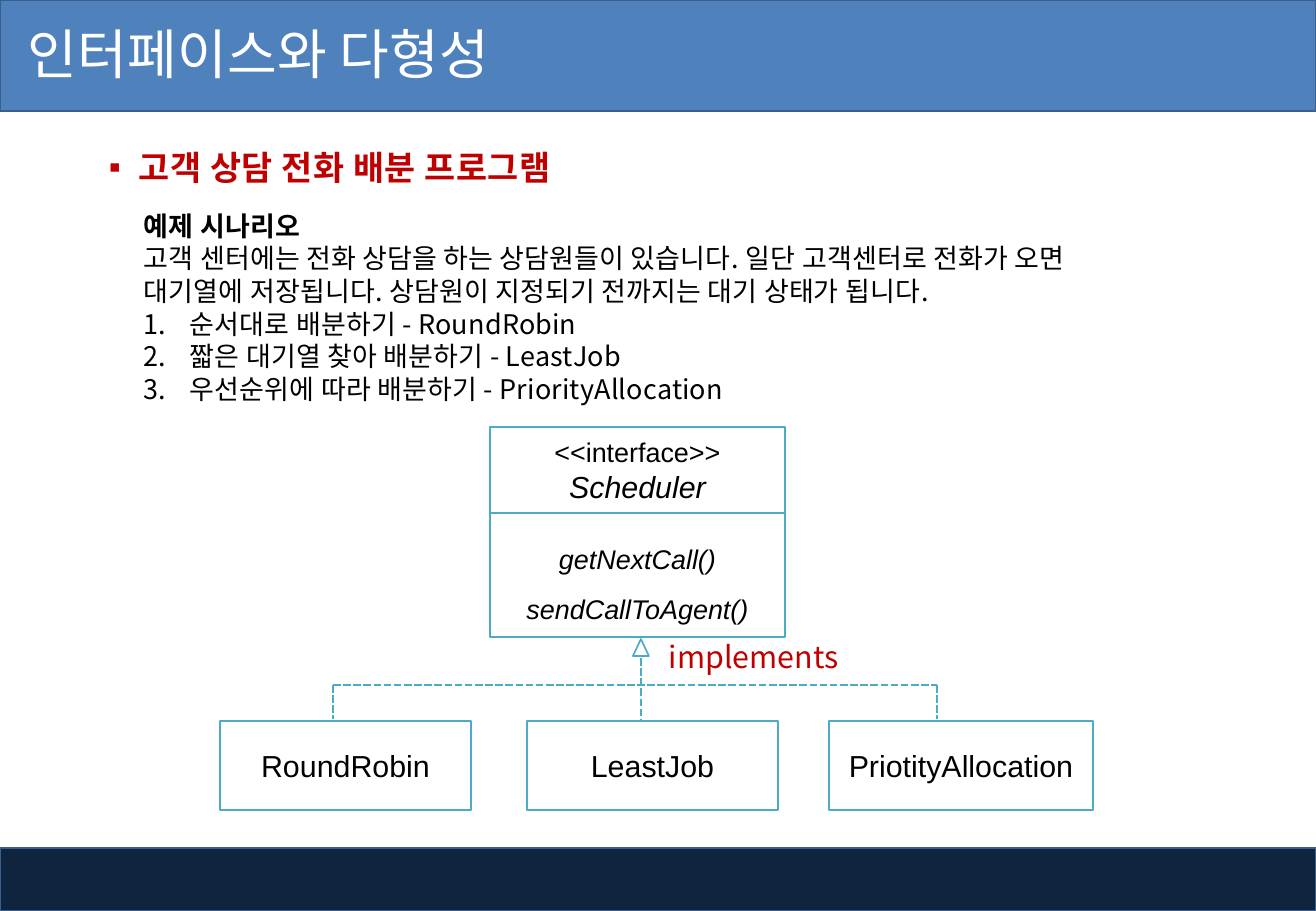
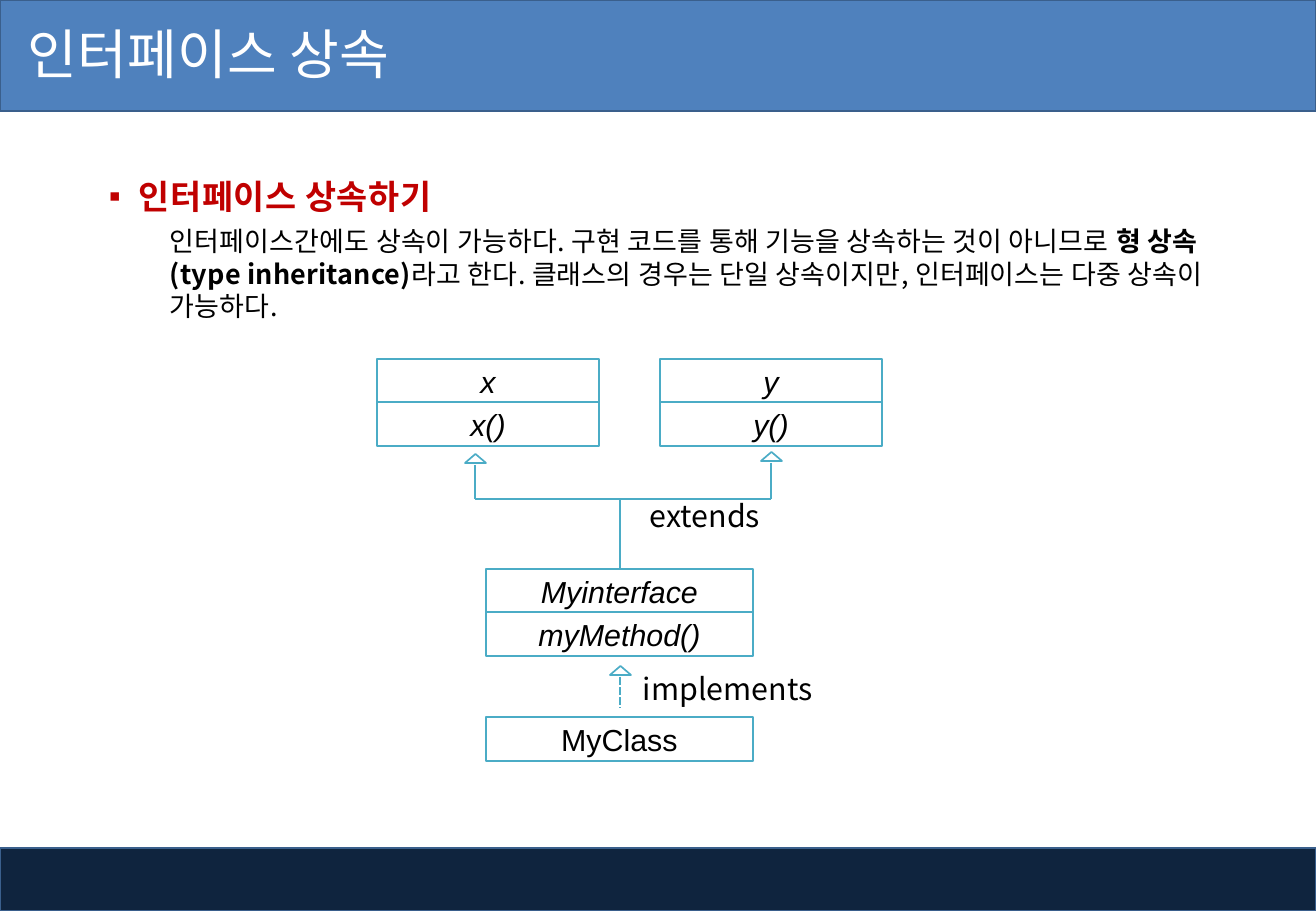
from dataclasses import dataclass

from pptx import Presentation
from pptx.dml.color import RGBColor
from pptx.enum.dml import MSO_LINE
from pptx.enum.shapes import MSO_CONNECTOR, MSO_SHAPE
from pptx.enum.text import MSO_ANCHOR, PP_ALIGN
from pptx.oxml.ns import qn
from pptx.util import Emu, Pt

RECT, TRIANGLE = MSO_SHAPE.RECTANGLE, MSO_SHAPE.ISOSCELES_TRIANGLE
STRAIGHT, DASH = MSO_CONNECTOR.STRAIGHT, MSO_LINE.SQUARE_DOT
TOP, MIDDLE = MSO_ANCHOR.TOP, MSO_ANCHOR.MIDDLE
CENTER = PP_ALIGN.CENTER
SCALE = 7526
WIDTH, HEIGHT = 1316, 911


@dataclass(frozen=True)
class Theme:
    """Colours, fonts and type sizes of the deck."""
    header: str = "4F81BD"
    footer: str = "0F243E"
    edge: str = "3A5F8C"
    uml: str = "4BACC6"
    accent: str = "C00000"
    ink: str = "000000"
    paper: str = "FFFFFF"
    text_font: str = "Noto Sans CJK KR"
    uml_font: str = "Arial"
    title: int = 32
    head: int = 20
    name: int = 18
    body: int = 16
    tracking: int = 15


def px(n):
    """Turn px into EMU."""
    return Emu(n * SCALE)


def put(obj, values):
    """Set attributes from a dict."""
    for key, value in values.items():
        setattr(obj, key, value)


def add(parent, tag, **values):
    """Append an XML element with attributes."""
    parent.append(parent.makeelement(qn(tag), values))


class Deck:
    """The style and the current slide."""

    def __init__(self, prs, theme):
        self.prs, self.t, self.s = prs, theme, None

    def new_slide(self, title):
        """Start a slide with its bands and title."""
        t = self.t
        self.s = self.prs.slides.add_slide(self.prs.slide_layouts[6])
        self.shape(RECT, 0, 848, WIDTH, 63, t.footer, t.edge)
        self.shape(RECT, 0, 0, WIDTH, 111, t.header, t.edge)
        tf = self.text_box(0, 0, 824, 106, MIDDLE)
        tf.margin_left = px(28)
        self.para(tf, [(title, {})], t.title, t.paper, spc=t.tracking,
                  line_spacing=Pt(38.4))

    def shape(self, kind, x, y, w, h, fill, line):
        """Add a filled shape with a thin outline."""
        sp = self.s.shapes.add_shape(kind, px(x), px(y), px(w), px(h))
        sp.shadow.inherit = False
        sp.fill.solid()
        sp.fill.fore_color.rgb = RGBColor.from_string(fill)
        sp.line.color.rgb = RGBColor.from_string(line)
        sp.line.width = Pt(1)
        return sp

    def text_box(self, x, y, w, h, anchor=TOP):
        """Add a wrapping text box."""
        tf = self.s.shapes.add_textbox(px(x), px(y), px(w), px(h)).text_frame
        put(tf, {"word_wrap": True, "vertical_anchor": anchor})
        return tf

    def para(self, tf, runs, size, color, font=None, bullets=(),
             left=0, hang=0, spc=0, **fmt):
        """Append a paragraph made of (text, font values) runs."""
        p = tf.paragraphs[0]
        if p.runs:
            p = tf.add_paragraph()
        pPr = p._p.get_or_add_pPr()
        pPr.set("marL", str(px(left)))
        pPr.set("indent", str(px(-hang)))
        for tag, values in bullets:
            add(pPr, tag, **values)
        put(p, fmt)
        font = font or self.t.text_font
        for text, values in runs:
            r = p.add_run()
            r.text = text
            put(r.font, {"name": font, "size": Pt(size), **values})
            r.font.color.rgb = RGBColor.from_string(color)
            rPr = r._r.get_or_add_rPr()
            rPr.set("spc", str(spc))
            add(rPr, "a:ea", typeface=font)

    def heading(self, tf, text):
        """Append a red square-bulleted heading."""
        t = self.t
        self.para(tf, [(text, {"bold": True})], t.head, t.accent,
                  bullets=(("a:buFont", {"typeface": t.uml_font}),
                           ("a:buChar", {"char": "▪"})),
                  left=30, hang=30, spc=2 * t.tracking, line_spacing=Pt(36.2))

    def body(self, tf, runs, line=19.3, **fmt):
        """Append a body paragraph."""
        self.para(tf, runs, self.t.body, self.t.ink, spc=self.t.tracking,
                  line_spacing=Pt(line), **fmt)

    def label(self, x, y, text, color):
        """Add a relation label."""
        tf = self.text_box(x, y, 197, 49)
        self.para(tf, [(text, {})], self.t.name, color, line_spacing=Pt(21.8))

    def box(self, x, y, w, h, lines, spacing=1.0):
        """Add a UML box with (text, size, italic) lines."""
        t = self.t
        tf = self.shape(RECT, x, y, w, h, t.paper, t.uml).text_frame
        put(tf, {"word_wrap": True, "vertical_anchor": MIDDLE})
        for text, size, italic in lines:
            self.para(tf, [(text, {"italic": italic})], size, t.ink,
                      t.uml_font, alignment=CENTER, line_spacing=spacing)

    def rows(self, x, y, w, names, italic=True):
        """Stack one-line UML boxes."""
        for i, name in enumerate(names):
            self.box(x, y + 43 * i, w, 44, [(name, self.t.name, italic)])

    def line(self, x1, y1, x2, y2, dash=None):
        """Add a relation line."""
        c = self.s.shapes.add_connector(STRAIGHT, px(x1), px(y1), px(x2), px(y2))
        c.line.color.rgb = RGBColor.from_string(self.t.uml)
        put(c.line, {"width": Pt(1.5), "dash_style": dash})
        add(c._element.spPr, "a:effectLst")

    def arrow(self, x, tip, end, w, h, dash=None):
        """Add an upward arrow with a hollow triangle head."""
        self.line(x, tip + h + 2, x, end, dash)
        self.shape(TRIANGLE, x - w // 2, tip, w, h, self.t.paper, self.t.uml)


def polymorphism(d):
    """Build the slide on interfaces and polymorphism."""
    t = d.t
    d.new_slide("인터페이스와 다형성")
    d.heading(d.text_box(97, 120, 522, 69), "고객 상담 전화 배분 프로그램")
    tf = d.text_box(132, 187, 1043, 225)
    d.body(tf, [("예제 시나리오", {"bold": True})], 28.9)
    d.body(tf, [("고객 센터에는 전화 상담을 하는 상담원들이 있습니다. 일단 고객센터로 "
                 "전화가 오면 대기열에 저장됩니다. 상담원이 지정되기 전까지는 대기 "
                 "상태가 됩니다.", {})])
    for item in ("순서대로 배분하기 - RoundRobin",
                 "짧은 대기열 찾아 배분하기 - LeastJob",
                 "우선순위에 따라 배분하기 - PriorityAllocation"):
        d.body(tf, [(item, {})], left=46, hang=46,
               bullets=(("a:buAutoNum", {"type": "arabicPeriod"}),))

    d.box(490, 427, 295, 86, [("<<interface>>", t.body, False),
                              ("Scheduler", t.name, True)])
    d.box(490, 513, 295, 124, [("getNextCall()", t.body, True),
                               ("sendCallToAgent()", t.body, True)], 1.55)
    d.arrow(641, 639, 719, 16, 17, DASH)
    d.line(333, 685, 937, 685, DASH)
    for x in (333, 937):
        d.line(x, 685, x, 719, DASH)
    for x, w, name in ((220, 251, "RoundRobin"), (527, 251, "LeastJob"),
                       (829, 264, "PriotityAllocation")):
        d.box(x, 721, w, 89, [(name, t.name, False)])
    d.label(657, 632, "implements", t.accent)


def inheritance(d):
    """Build the slide on interface inheritance."""
    d.new_slide("인터페이스 상속")
    tf = d.text_box(97, 149, 1121, 182)
    d.heading(tf, "인터페이스 상속하기")
    d.body(tf, [("인터페이스간에도 상속이 가능하다. 구현 코드를 통해 기능을 상속하는 "
                 "것이 아니므로 ", {}),
                ("형 상속(type inheritance)", {"bold": True}),
                ("라고 한다. 클래스의 경우는 단일 상속이지만, 인터페이스는 다중 "
                 "상속이 가능하다.", {})], left=61, space_before=Pt(5))

    for x, name in ((377, "x"), (660, "y")):
        d.rows(x, 359, 222, (name, f"{name}()"))
    for x, tip in ((475, 454), (771, 452)):
        d.arrow(x, tip, 499, 21, 9)
    d.line(475, 499, 771, 499)
    d.line(620, 499, 620, 569)
    d.rows(486, 569, 267, ("Myinterface", "myMethod()"))
    d.arrow(620, 666, 708, 21, 9, DASH)
    d.rows(486, 717, 267, ("MyClass",), italic=False)
    d.label(631, 664, "implements", d.t.ink)
    d.label(638, 491, "extends", d.t.ink)


def main():
    """Build and save the deck."""
    prs = Presentation()
    put(prs, {"slide_width": px(WIDTH), "slide_height": px(HEIGHT)})
    d = Deck(prs, Theme())
    polymorphism(d)
    inheritance(d)
    prs.save("out.pptx")


if __name__ == "__main__":
    main()
